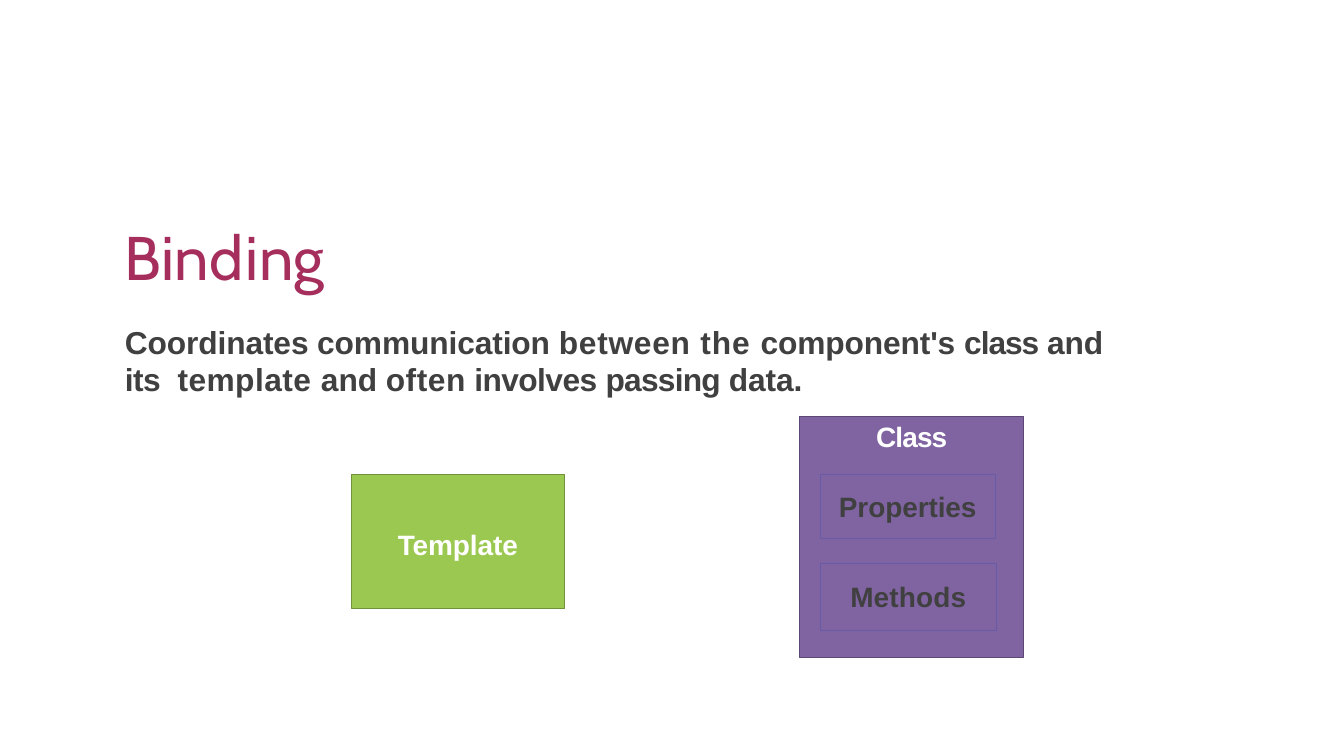
from pptx import Presentation
from pptx.dml.color import RGBColor
from pptx.enum.shapes import MSO_SHAPE
from pptx.enum.text import MSO_ANCHOR, PP_ALIGN
from pptx.util import Cm, Pt

THEME = {
    "rose": "A62E5C", "ink": "404040", "white": "FFFFFF",
    "grape": "8064A2", "plum": "5C4776", "lime": "9BC850",
    "moss": "719238", "iris": "675BA7",
    "head": ("Cabin", 66, False), "body": ("Arial", 34, True),
    "label": ("Arial", 30, True),
}

TITLE = [("B", -1.4), ("in", 0.2), ("d", 2.5), ("in", 0.2), ("g", 1.8)]
BODY = [
    ("Coordinates communication ", -0.1), ("between ", 0.8), ("the ", 1),
    ("component's ", -0.1), ("class ", -1.1), ("and ", -0.1),
    ("its  ", -0.5), ("template ", 0.5), ("and ", -0.1), ("often", 0.6),
    (" involves ", -0.6), ("passing ", -0.8), ("data.", -0.1),
]
TEXTS = [
    (TITLE, (4.72, 8.23, 8, 2.87), "head", "rose", 0.03, None),
    (BODY, (4.72, 12.12, 38.6, 2.92), "body", "ink", 0.1, 40.1),
]

TOP, MID = MSO_ANCHOR.TOP, MSO_ANCHOR.MIDDLE
BOXES = [
    ("Class", -0.9, (30.23, 15.75, 8.46, 9.09), "grape", "plum", 1, "white", TOP, 0.1),
    ("Template", -0.1, (13.28, 17.93, 8.05, 5.08), "lime", "moss", 1, "white", MID, 0.25),
    ("Properties", -0.1, (31.01, 17.93, 6.6, 2.41), None, "iris", 0.5, "ink", MID, 0),
    ("Methods", 0.2, (31.01, 21.29, 6.65, 2.54), None, "iris", 0.5, "ink", MID, 0),
]


def tint(key):
    return RGBColor.from_string(THEME[key])


def write(shape, runs, style, ink, inset, anchor=TOP, align=PP_ALIGN.LEFT, pitch=None):
    frame = shape.text_frame
    frame.word_wrap = True
    frame.margin_left = frame.margin_right = frame.margin_bottom = 0
    frame.margin_top = Cm(inset)
    frame.vertical_anchor = anchor
    para = frame.paragraphs[0]
    para.alignment = align
    if pitch:
        para.line_spacing = Pt(pitch)
    font = para.font
    font.name, size, font.bold = THEME[style]
    font.size = Pt(size)
    font.color.rgb = tint(ink)
    for text, track in runs:
        run = para.add_run()
        run.text = text
        run._r.get_or_add_rPr().set("spc", str(round(track * 100)))


deck = Presentation()
deck.slide_width, deck.slide_height = Cm(50.8), Cm(28.58)
slide = deck.slides.add_slide(deck.slide_layouts[6])

for runs, place, style, ink, inset, pitch in TEXTS:
    box = slide.shapes.add_textbox(*map(Cm, place))
    write(box, runs, style, ink, inset, pitch=pitch)

for name, track, place, fill, edge, width, ink, anchor, inset in BOXES:
    box = slide.shapes.add_shape(MSO_SHAPE.RECTANGLE, *map(Cm, place))
    box.shadow.inherit = False
    if fill:
        box.fill.solid()
        box.fill.fore_color.rgb = tint(fill)
    else:
        box.fill.background()
    box.line.color.rgb = tint(edge)
    box.line.width = Pt(width)
    write(box, [(name, track)], "label", ink, inset, anchor, PP_ALIGN.CENTER)

deck.save("out.pptx")
